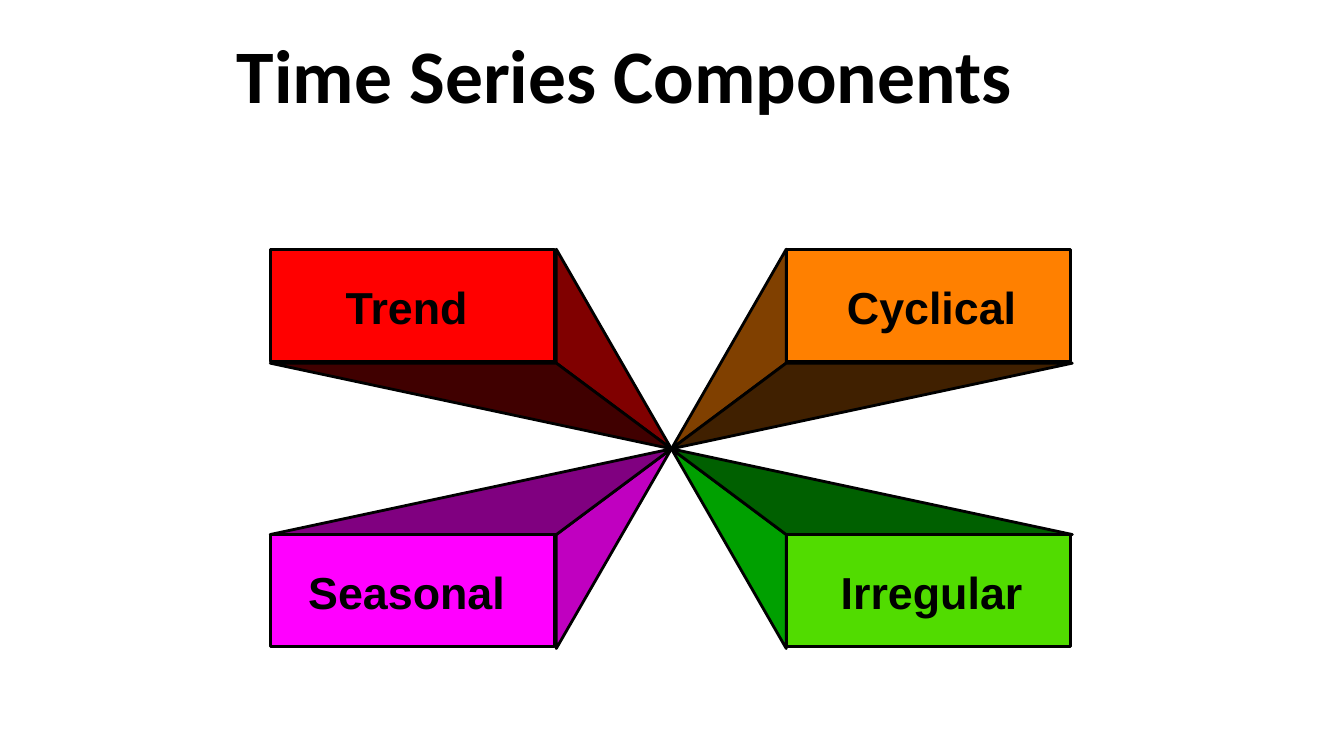
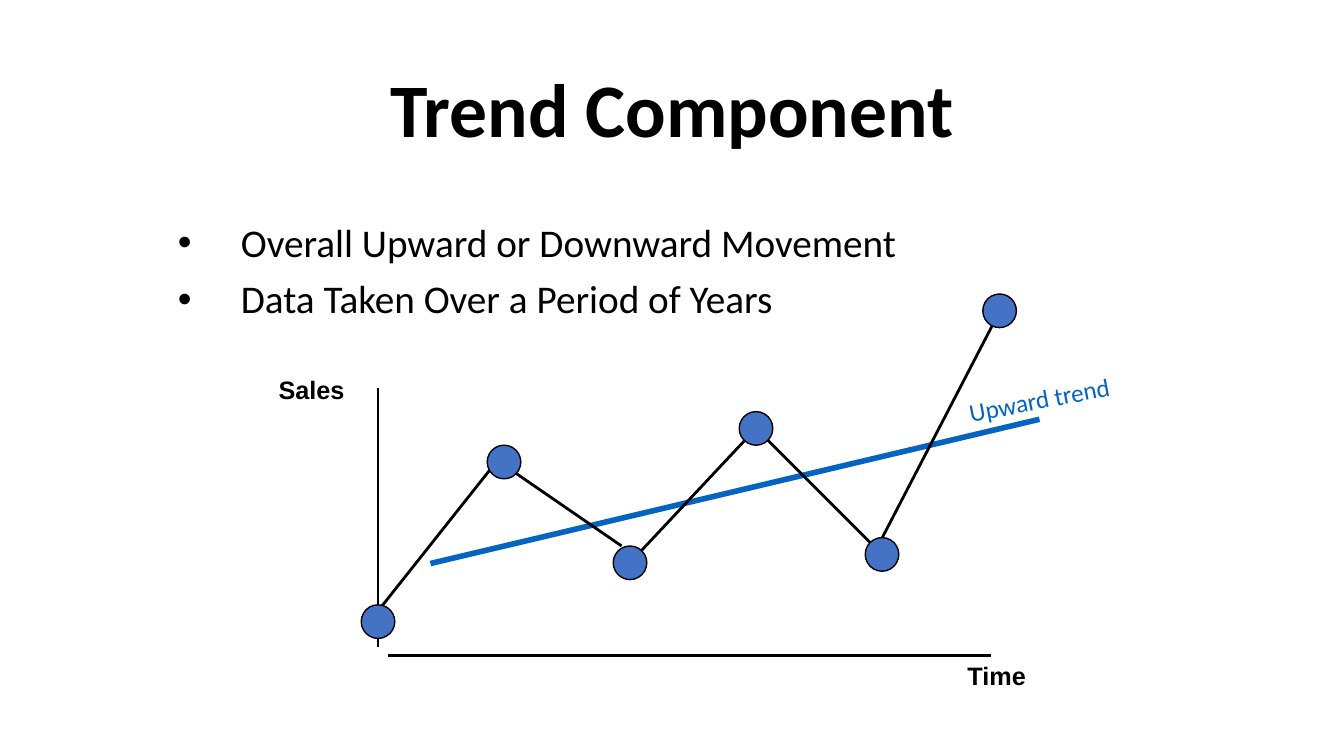
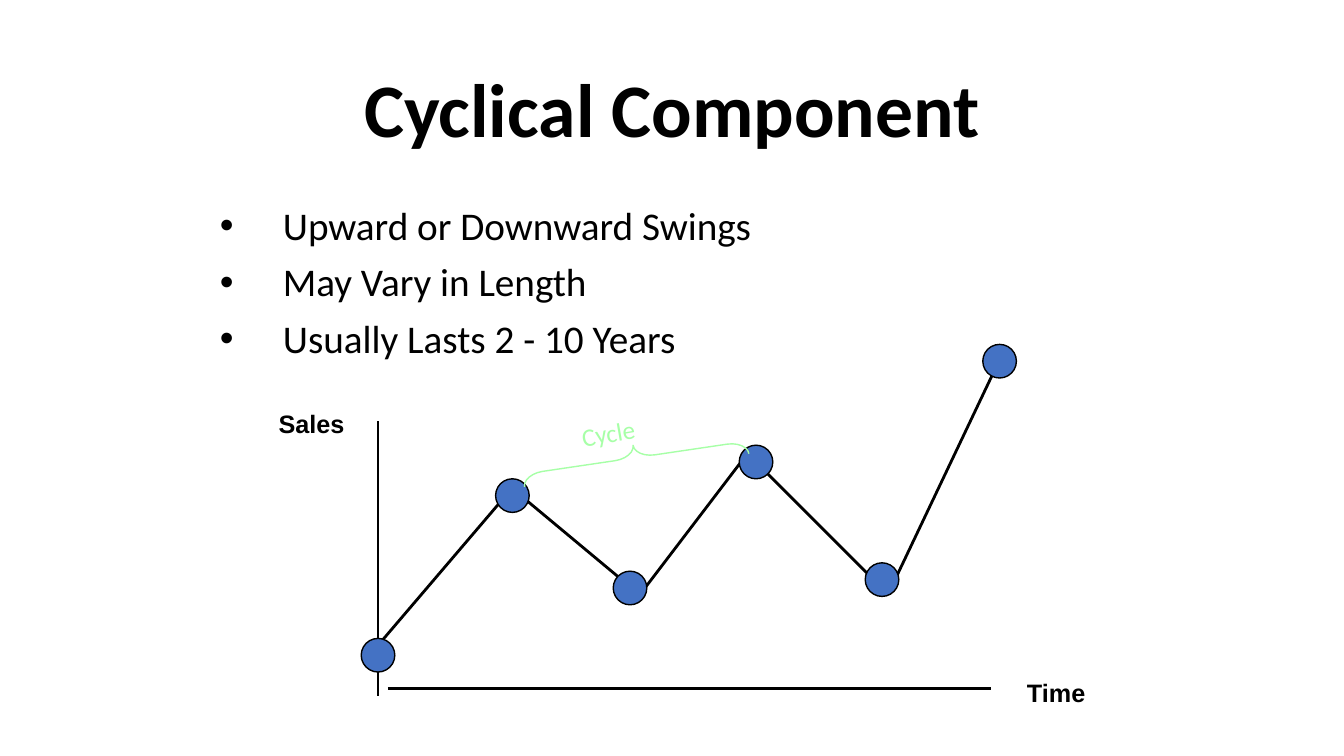
from dataclasses import dataclass

from lxml.etree import SubElement
from pptx import Presentation
from pptx.dml.color import RGBColor
from pptx.enum.shapes import MSO_CONNECTOR, MSO_SHAPE
from pptx.enum.text import MSO_ANCHOR, MSO_AUTO_SIZE, PP_ALIGN
from pptx.oxml.ns import qn
from pptx.util import Pt

Spot = tuple[float, float]
Span = tuple[float, float, float, float]


@dataclass(frozen=True)
class Theme:
    ink: str = "000000"
    dot: str = "4472C4"
    trend: str = "0563C1"
    cycle: str = "A7FFA7"
    shade: str = "E7E6E6"
    head: str = "Calibri"
    label: str = "Arial"
    title: float = 54
    panel: float = 32
    body: float = 28
    note: float = 18


@dataclass(frozen=True)
class Panel:
    name: str
    left: float
    top: float
    mid: float
    wide: float
    front: str
    side: str
    floor: str


@dataclass(frozen=True)
class Plot:
    title: str
    body: Spot
    points: list[str]
    rise: Span
    base: Span
    sales: Spot
    time: Spot
    paths: list[Span]
    dots: list[Spot]


THEME = Theme()
TITLE: Span = (66, 29, 828, 104)
HUB: Spot = (479.6, 320.6)
WIDE, HIGH, GAP = 204.4, 81.4, 1.4
DOT = 24

PANELS = [
    Panel("Trend", 193, 178, 290.5, 114.5, "FF0000", "800000", "400000"),
    Panel("Seasonal", 193, 381.8, 290.5, 163, "FF00FF", "C000C0", "800080"),
    Panel("Cyclical", 561.6, 178, 665.5, 145, "FF8000", "804000", "402000"),
    Panel("Irregular", 561.6, 381.8, 665.5, 157, "51DC00", "00A000", "006000"),
]

TREND = Plot(
    "Trend Component",
    (120, 156),
    ["Overall Upward or Downward Movement", "Data Taken Over a Period of Years"],
    (270, 277, 270, 462),
    (277, 468, 708, 468),
    (192, 264),
    (684, 468),
    [
        (264, 444, 354, 330.5),
        (367, 337, 444, 390),
        (450, 402, 540, 306),
        (547, 313, 624, 390),
        (624, 396, 714, 222.5),
    ],
    [(258, 432), (348, 318), (438, 390), (528, 294), (618, 384), (702, 210)],
)

CYCLE = Plot(
    "Cyclical Component",
    (150, 144),
    ["Upward or Downward Swings", "May Vary in Length", "Usually Lasts 2 - 10 Years"],
    (270, 301, 270, 497),
    (277, 492, 708, 492),
    (192, 288),
    (726.5, 480),
    [
        (264, 468, 366, 348.5),
        (372, 354, 444, 414),
        (456.5, 425.5, 533.5, 324.5),
        (547, 337, 624, 414),
        (636.5, 420, 713.5, 258),
    ],
    [(258, 456), (354, 342), (438, 408), (528, 318), (618, 402), (702, 246)],
)


def tint(code: str) -> RGBColor:
    return RGBColor.from_string(code)


def style(para, size: float, face: str, bold: bool = False, color: str = THEME.ink) -> None:
    font = para.font
    font.size, font.name, font.bold = Pt(size), face, bold
    font.color.rgb = tint(color)


def paint(shape, fill: str, width: float) -> None:
    shape.shadow.inherit = False
    shape.fill.solid()
    shape.fill.fore_color.rgb = tint(fill)
    shape.line.color.rgb = tint(THEME.ink)
    shape.line.width = Pt(width)


def head(deck, text: str, area: Span = TITLE, align=PP_ALIGN.CENTER):
    slide = deck.slides.add_slide(deck.slide_layouts[5])
    title = slide.shapes.title
    title.left, title.top, title.width, title.height = map(Pt, area)
    frame = title.text_frame
    frame.text = text
    frame.word_wrap = True
    frame.vertical_anchor = MSO_ANCHOR.MIDDLE
    para = frame.paragraphs[0]
    para.alignment, para.line_spacing = align, 0.9
    style(para, THEME.title, THEME.head, True)
    return slide


def shade(run) -> None:
    effects = SubElement(run.font._element, qn("a:effectLst"))
    shadow = SubElement(effects, qn("a:outerShdw"), dist=str(Pt(3)), dir="2700000")
    SubElement(shadow, qn("a:srgbClr"), val=THEME.shade)


def write(slide, text: str, area: Span, size: float, face: str, bold: bool = True,
          color: str = THEME.ink, align=PP_ALIGN.LEFT, turn: float = 0) -> None:
    box = slide.shapes.add_textbox(*map(Pt, area))
    box.rotation = turn
    frame = box.text_frame
    frame.word_wrap = True
    frame.auto_size = MSO_AUTO_SIZE.SHAPE_TO_FIT_TEXT
    frame.text = text
    para = frame.paragraphs[0]
    para.alignment = align
    style(para, size, face, bold, color)


def line(slide, span: Span, width: float = 2, color: str = THEME.ink) -> None:
    link = slide.shapes.add_connector(MSO_CONNECTOR.STRAIGHT, *map(Pt, span))
    link.line.width = Pt(width)
    link.line.color.rgb = tint(color)
    SubElement(link._element.spPr, qn("a:effectLst"))


def facet(slide, spots: list[Spot], fill: str) -> None:
    first, *rest = [(Pt(x), Pt(y)) for x, y in spots]
    pen = slide.shapes.build_freeform(*first)
    pen.add_line_segments(rest, close=True)
    paint(pen.convert_to_shape(), fill, 2)


def block(slide, panel: Panel) -> None:
    left, top = panel.left, panel.top
    front = slide.shapes.add_shape(
        MSO_SHAPE.RECTANGLE, Pt(left), Pt(top), Pt(WIDE - GAP), Pt(HIGH - GAP))
    paint(front, panel.front, 2)
    near, far = sorted((left, left + WIDE), key=lambda x: abs(x - HUB[0]))
    low, high = sorted((top, top + HIGH), key=lambda y: abs(y - HUB[1]))
    facet(slide, [(near, high), (near, low), HUB], panel.side)
    facet(slide, [(far, low), (near, low), HUB], panel.floor)


def bullets(slide, place: Spot, points: list[str]) -> None:
    box = slide.shapes.add_textbox(*map(Pt, (*place, 690, 324)))
    frame = box.text_frame
    frame.word_wrap = True
    frame.text = "\n".join(points)
    for para in frame.paragraphs:
        para.line_spacing, para.space_before = 0.9, Pt(10)
        props = para._p.get_or_add_pPr()
        props.set("marL", str(Pt(45)))
        props.set("indent", str(-Pt(45)))
        SubElement(props, qn("a:buFont"), typeface=THEME.label)
        SubElement(props, qn("a:buChar"), char="•")
        style(para, THEME.body, THEME.head)


def chart(deck, plot: Plot):
    slide = head(deck, plot.title)
    bullets(slide, plot.body, plot.points)
    for name, place in (("Sales", plot.sales), ("Time", plot.time)):
        write(slide, name, (*place, 114, 29), THEME.note, THEME.label)
    for span in (plot.rise, plot.base):
        line(slide, span)
    return slide


def trace(slide, plot: Plot) -> None:
    for span in plot.paths:
        line(slide, span)
    for place in plot.dots:
        dot = slide.shapes.add_shape(MSO_SHAPE.OVAL, *map(Pt, (*place, DOT, DOT)))
        paint(dot, THEME.dot, 1)


def parts(deck) -> None:
    slide = head(deck, "Time Series Components", (162, 12, 672, 89), PP_ALIGN.LEFT)
    shade(slide.shapes.title.text_frame.paragraphs[0].runs[0])
    for panel in PANELS:
        block(slide, panel)
    for panel in PANELS:
        area = (panel.mid - panel.wide / 2, panel.top + 18, panel.wide, 46)
        write(slide, panel.name, area, THEME.panel, THEME.label, align=PP_ALIGN.CENTER)


def trend(deck) -> None:
    slide = chart(deck, TREND)
    line(slide, (307.5, 402.5, 742.5, 299.5), 4, THEME.trend)
    trace(slide, TREND)
    write(slide, "Upward trend", (684, 267, 155.5, 29), THEME.note, THEME.head,
          False, THEME.trend, turn=349)


def cycle(deck) -> None:
    slide = chart(deck, CYCLE)
    trace(slide, CYCLE)
    brace = slide.shapes.add_shape(
        MSO_SHAPE.LEFT_BRACE, Pt(444.5), Pt(246), Pt(18), Pt(162))
    brace.rotation = 81.6
    brace.adjustments[0] = 0.8
    brace.shadow.inherit = False
    brace.fill.background()
    brace.line.color.rgb = tint(THEME.cycle)
    brace.line.width = Pt(1)
    write(slide, "Cycle", (408, 291.5, 90, 29), THEME.note, THEME.head,
          False, THEME.cycle, turn=350)


def main() -> None:
    deck = Presentation()
    deck.slide_width, deck.slide_height = Pt(960), Pt(540)
    for build in (parts, trend, cycle):
        build(deck)
    deck.save("out.pptx")


if __name__ == "__main__":
    main()
